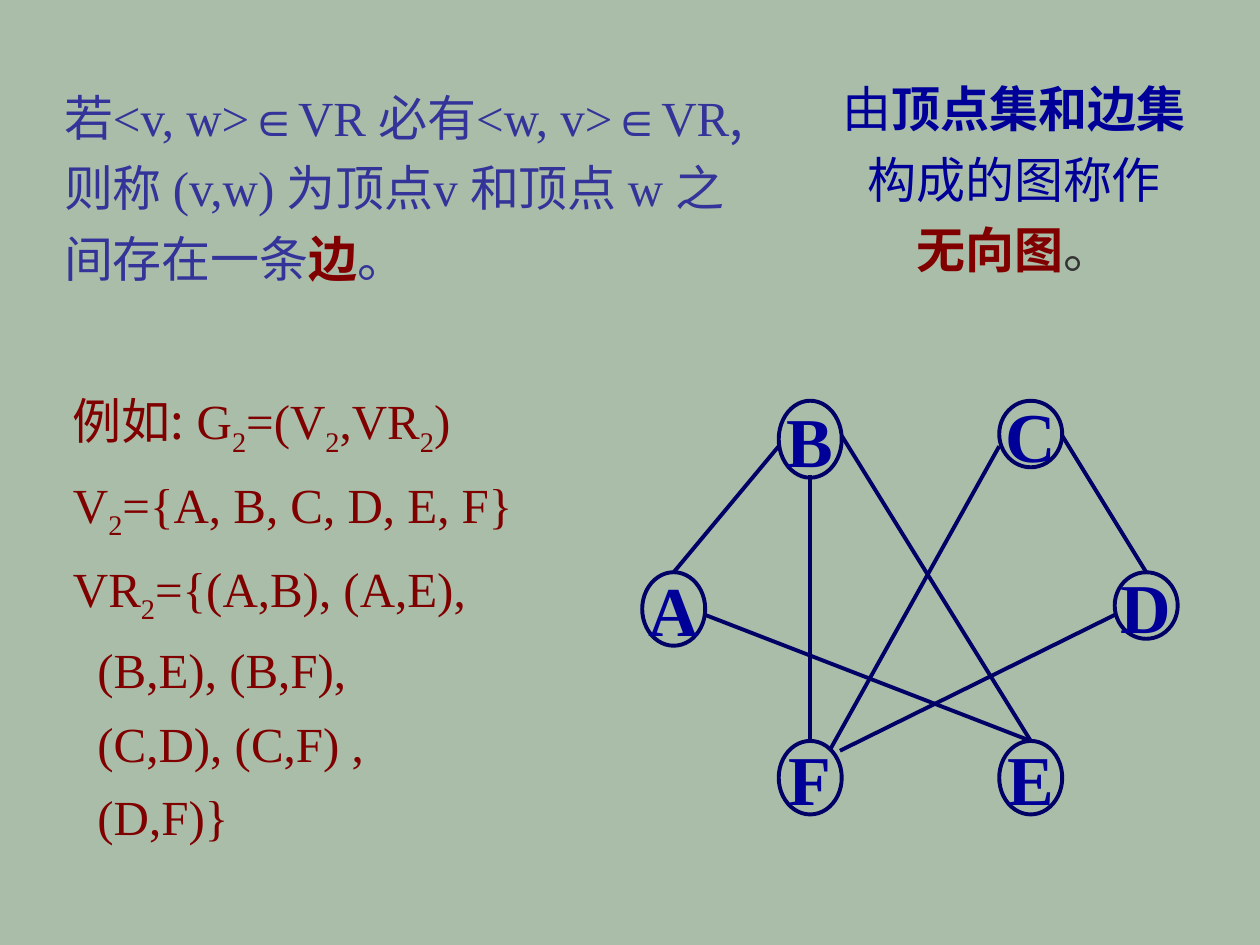
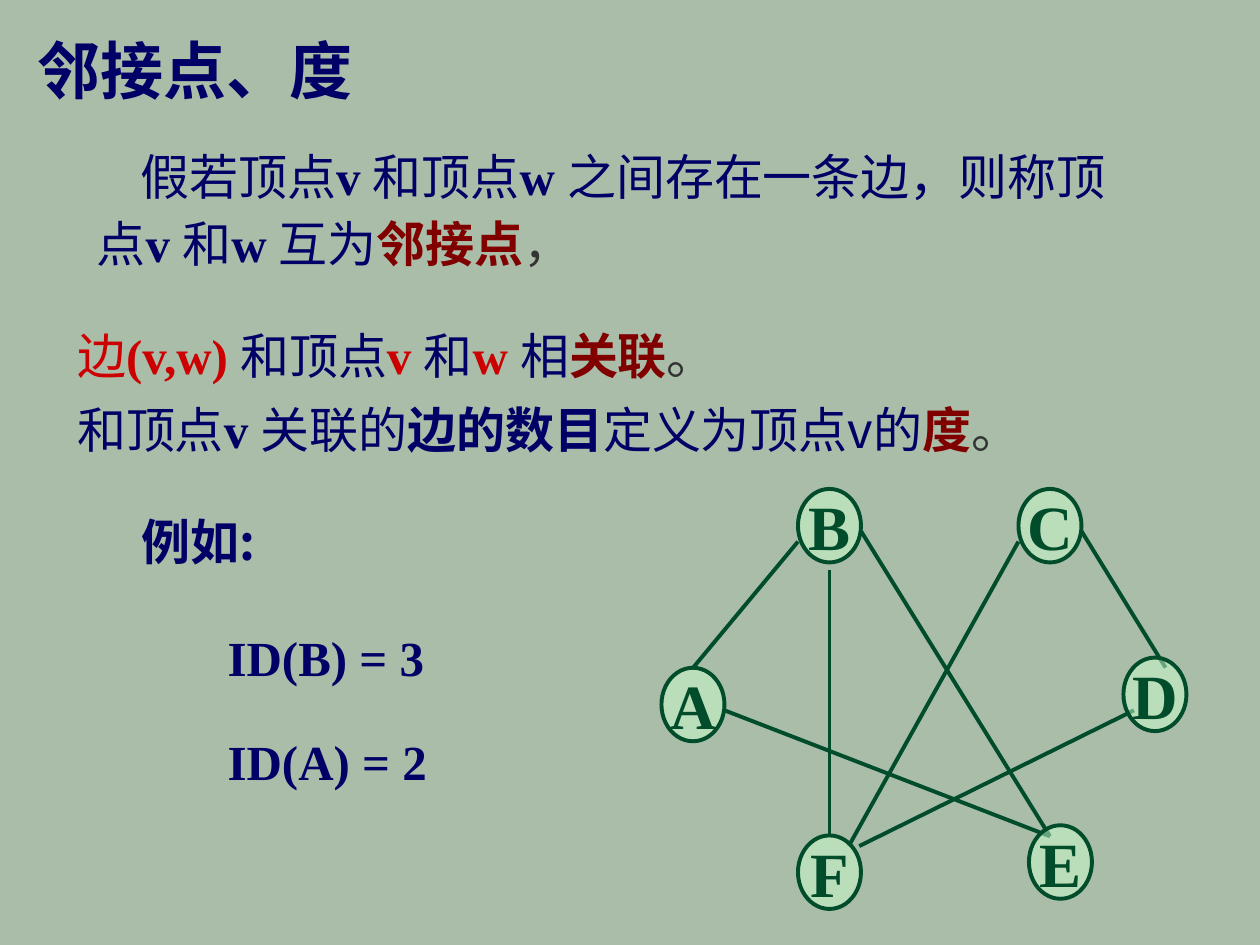
from lxml.etree import SubElement
from pptx import Presentation
from pptx.dml.color import RGBColor
from pptx.enum.shapes import MSO_CONNECTOR as Line, MSO_SHAPE as Kind
from pptx.enum.text import MSO_ANCHOR as Anchor, MSO_AUTO_SIZE as Fit, PP_ALIGN as Align
from pptx.oxml.ns import qn
from pptx.util import Pt

SANS, SERIF = "Noto Sans CJK SC", "Times New Roman"
PAPER, NAVY, BLUE, VIOLET = "A9BDA9", "000066", "000099", "333399"
WINE, RED, GRAY, GREEN, MINT = "800000", "CC0000", "333333", "004C2B", "CCFFCC"

# Run: text, colour, marks (t = serif, b = bold, s = subscript)
EDGE = [
    [("若", VIOLET, ""), ("<v, w>∈VR ", VIOLET, "t"), ("必有", VIOLET, ""),
     ("<w, v>∈VR", VIOLET, "t"), (",", VIOLET, "")],
    [("则称 ", VIOLET, ""), ("(v,w) ", VIOLET, "t"), ("为顶点", VIOLET, ""),
     ("v ", VIOLET, "t"), ("和顶点 ", VIOLET, ""), ("w ", VIOLET, "t"),
     ("之间存在一条", VIOLET, ""), ("边", WINE, "b"), ("。", VIOLET, "")],
]
GRAPH = [
    [("由", BLUE, ""), ("顶点集和边集", BLUE, "b"), ("构成的图称作", BLUE, "")],
    [("无向图", WINE, "b"), ("。", GRAY, "")],
]
SETS = [
    [("例如:", WINE, ""), (" G", WINE, "t"), ("2", WINE, "ts"), ("=(V", WINE, "t"),
     ("2", WINE, "ts"), (",VR", WINE, "t"), ("2", WINE, "ts"), (")", WINE, "t")],
    [("V", WINE, "t"), ("2", WINE, "ts"), ("={A, B, C, D, E, F}", WINE, "t")],
    [("VR", WINE, "t"), ("2", WINE, "ts"), ("={(A,B), (A,E),", WINE, "t")],
]
PAIRS = [[(text, WINE, "t")] for text in ("(B,E), (B,F),", "(C,D), (C,F) ,", "(D,F)}")]
NEAR = [
    [("假若顶点", NAVY, ""), ("v ", NAVY, "tb"), ("和顶点", NAVY, ""), ("w ", NAVY, "tb"),
     ("之间存在一条边，则称顶点", NAVY, ""), ("v ", NAVY, "tb"), ("和", NAVY, ""),
     ("w ", NAVY, "tb"), ("互为", NAVY, ""), ("邻接点", WINE, "b"), ("，", GRAY, "")],
]
DEGREE = [
    [("边", RED, ""), ("(v,w) ", RED, "tb"), ("和顶点", NAVY, ""), ("v ", RED, "tb"),
     ("和", NAVY, ""), ("w ", RED, "tb"), ("相", NAVY, ""), ("关联", WINE, "b"),
     ("。", GRAY, "")],
    [("和顶点", NAVY, ""), ("v ", NAVY, "tb"), ("关联的", NAVY, ""),
     ("边的数目", NAVY, "b"), ("定义为顶点v的", NAVY, ""), ("度", WINE, "b"),
     ("。", GRAY, "")],
]
CASES = [
    ("例如:", "b", 74, 288.7, 106), ("ID(B) = 3", "tb", 123, 355, 180),
    ("ID(A) = 2", "tb", 123, 414.7, 180),
]

WIDE, TALL = 36, 42
PLAIN = {"B": (445, 229, 44), "C": (571, 229, 38), "A": (367, 327, TALL),
         "F": (445, 423.4, TALL), "E": (571, 423.4, TALL), "D": (637, 327, 38)}
TINTED = {"A": (378, 381.6, TALL), "C": (582, 279.4, TALL), "D": (642, 375.8, TALL),
          "F": (456, 477.4, TALL), "E": (588, 471.6, TALL), "B": (456, 279.4, TALL)}
LINKS = [
    ((445, 255), (385, 327)), ((481, 249), (589, 423.4)), ((403, 351.4), (589, 423.4)),
    ((571, 255), (474, 429)), ((607, 249), (655, 327)), ((637, 351.4), (480, 429)),
    ((463, 271.4), (463, 423.4)),
]


def tone(code):
    """Turn a hex string into a colour."""
    return RGBColor.from_string(code)


def add_run(para, text, color, marks, size=28):
    """Add one formatted run to a paragraph."""
    run = para.add_run()
    run.text = text
    font = run.font
    font.size, font.bold = Pt(size), "b" in marks
    font.color.rgb = tone(color)
    font.name = SERIF if "t" in marks else SANS
    props = run._r.get_or_add_rPr()
    SubElement(props, qn("a:ea")).set("typeface", SANS)
    if "s" in marks:
        props.set("baseline", "-25000")


def add_text(slide, spot, paras, space=1, align=Align.LEFT, inset=()):
    """Add a wrapped text box; inset gives margin and first-line indent by paragraph."""
    frame = slide.shapes.add_textbox(*map(Pt, spot)).text_frame
    frame.word_wrap = True
    for i, runs in enumerate(paras):
        para = frame.paragraphs[0] if i == 0 else frame.add_paragraph()
        para.line_spacing, para.alignment = space, align
        if i < len(inset):
            props = para._p.get_or_add_pPr()
            for key, size in zip(("marL", "indent"), inset[i]):
                props.set(key, str(Pt(size)))
        for run in runs:
            add_run(para, *run)


def add_node(slide, name, spot, ink, size, fill):
    """Add one labelled vertex."""
    left, top, high = spot
    node = slide.shapes.add_shape(Kind.OVAL, *map(Pt, (left, top, WIDE, high)))
    node.shadow.inherit = False
    node.line.color.rgb, node.line.width = tone(ink), Pt(2.25)
    if fill:
        node.fill.solid()
        node.fill.fore_color.rgb = tone(fill)
        color = node.fill._xPr.find(".//" + qn("a:srgbClr"))
        SubElement(color, qn("a:alpha")).set("val", "50000")
    else:
        node.fill.background()
    frame = node.text_frame
    frame.word_wrap, frame.vertical_anchor = False, Anchor.MIDDLE
    para = frame.paragraphs[0]
    para.alignment = Align.CENTER
    add_run(para, name, BLUE if ink == NAVY else ink, "tb", size)


def add_graph(slide, nodes, ink, size, fill=None, shift=(0, 0)):
    """Draw the links, then the vertices, and join the ends that meet a vertex top."""
    dx, dy = shift
    wires = []
    for link in LINKS:
        ends = [(x + dx, y + dy) for x, y in link]
        wire = slide.shapes.add_connector(Line.STRAIGHT, *(Pt(v) for end in ends for v in end))
        wire.line.color.rgb, wire.line.width = tone(ink), Pt(2.25)
        SubElement(wire._element.spPr, qn("a:effectLst"))
        wires.append((wire, ends))
    for name, spot in nodes.items():
        add_node(slide, name, spot, ink, size, fill)
        node = slide.shapes[-1]
        for wire, ends in wires:
            for (x, y), join in zip(ends, (wire.begin_connect, wire.end_connect)):
                if abs(x - spot[0] - WIDE / 2) < 1 and abs(y - spot[1]) < 1:
                    join(node, 0)


def add_title(slide, text):
    """Place and format the slide title."""
    title = slide.shapes.title
    title.left, title.top, title.width, title.height = map(Pt, (14.4, 14.4, 197, 51))
    frame = title.text_frame
    frame.word_wrap, frame.auto_size = False, Fit.NONE
    frame.vertical_anchor = Anchor.TOP
    para = frame.paragraphs[0]
    para.alignment = Align.LEFT
    add_run(para, text, NAVY, "tb", 36)


def main():
    """Build both slides."""
    deck = Presentation()
    deck.slide_width, deck.slide_height = Pt(720), Pt(540)
    back = deck.slide_master.background.fill
    back.solid()
    back.fore_color.rgb = tone(PAPER)

    first = deck.slides.add_slide(deck.slide_layouts[6])
    add_text(first, (29.5, 39.6, 404.6, 128), EDGE, 1.2)
    add_graph(first, PLAIN, NAVY, 40)
    add_text(first, (468, 34.6, 223, 128), GRAPH, 1.2, Align.CENTER)
    add_text(first, (34.6, 210.2, 309, 300), SETS + PAIRS, 1.25,
             inset=[(0, 0)] * len(SETS) + [(14, 0)] * len(PAIRS))

    second = deck.slides.add_slide(deck.slide_layouts[5])
    add_title(second, "邻接点、度")
    add_text(second, (48.2, 74.9, 612.7, 84), NEAR, 1.15, inset=[(0, 25)])
    add_graph(second, TINTED, GREEN, 36, MINT, (11, 54.5))
    for text, marks, left, top, wide in CASES:
        add_text(second, (left, top, wide, 41), [[(text, NAVY, marks)]])
    add_text(second, (37, 174.2, 600, 91.4), DEGREE, 1.25)
    deck.save("out.pptx")


if __name__ == "__main__":
    main()
